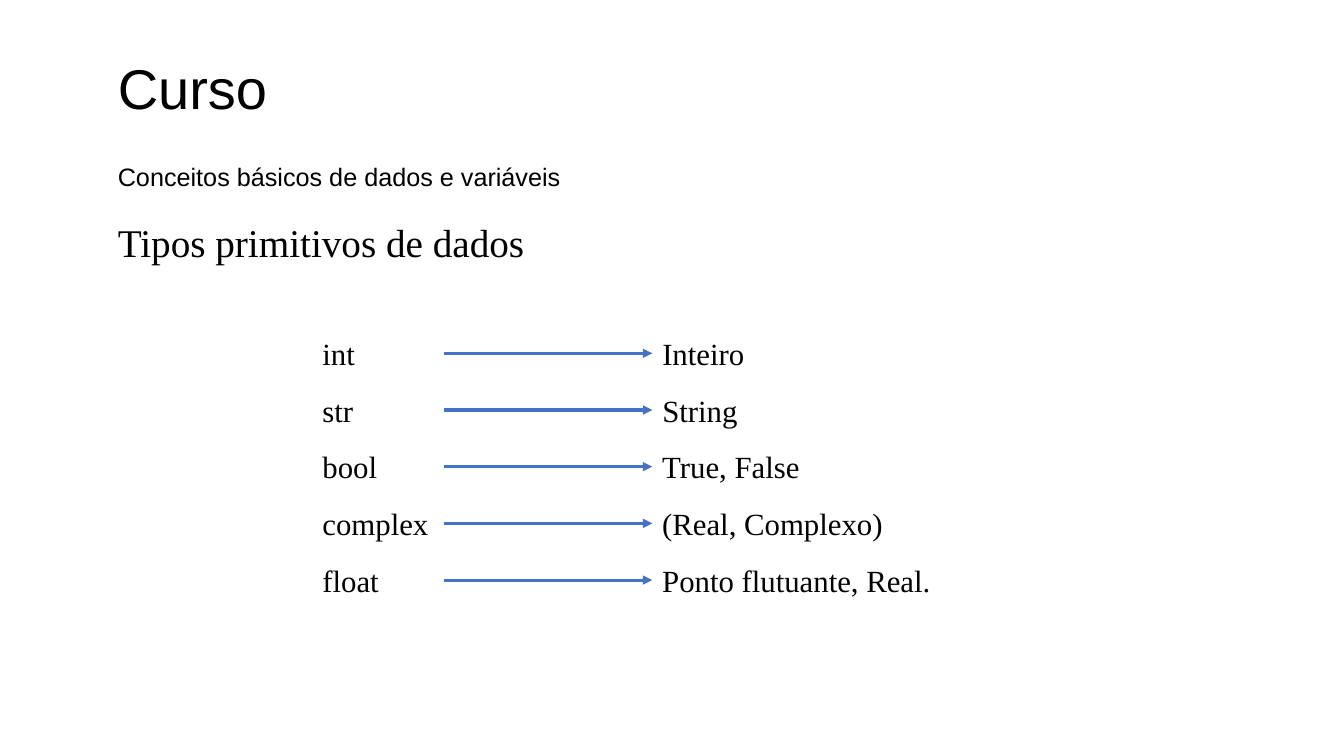
from lxml.etree import SubElement
from pptx import Presentation
from pptx.dml.color import RGBColor
from pptx.enum.shapes import MSO_CONNECTOR
from pptx.enum.text import MSO_ANCHOR
from pptx.oxml.ns import qn
from pptx.util import Inches, Pt

SANS, SERIF = "Arial", "Times New Roman"
TEXT_COLOR, ARROW_COLOR = "000000", "4472C4"
LEFT_SIDE, RIGHT_SIDE = 1, 3

# Python type, its meaning, width of the meaning's box
DATA_TYPES = [
    ("int", "Inteiro", 1.29),
    ("str", "String", 1.29),
    ("bool", "True, False", 1.74),
    ("complex", "(Real, Complexo)", 2.47),
    ("float", "Ponto flutuante, Real.", 2.9),
]


def color(hex_string):
    return RGBColor.from_string(hex_string)


def add_text(page, text, box, size, font, anchor=MSO_ANCHOR.TOP, spacing=1.0):
    text_box = page.shapes.add_textbox(*(Inches(length) for length in box))
    frame = text_box.text_frame
    frame.word_wrap = True
    frame.vertical_anchor = anchor
    para = frame.paragraphs[0]
    para.text = text
    para.line_spacing = spacing
    para.font.size = Pt(size)
    para.font.name = font
    para.font.color.rgb = color(TEXT_COLOR)
    return text_box


def add_arrow(page, source, target):
    arrow = page.shapes.add_connector(MSO_CONNECTOR.STRAIGHT, 0, 0, 0, 0)
    arrow.begin_connect(source, RIGHT_SIDE)
    arrow.end_connect(target, LEFT_SIDE)
    arrow.line.color.rgb = color(ARROW_COLOR)
    arrow.line.width = Pt(2.25)
    SubElement(arrow.line._get_or_add_ln(), qn("a:tailEnd"), type="triangle")
    SubElement(arrow._element.spPr, qn("a:effectLst"))


def add_heading(page, left, top):
    add_text(page, "Curso", (left, top, 6.41, 0.6), 40, SANS, MSO_ANCHOR.MIDDLE, 0.9)
    add_text(page, "Conceitos básicos de dados e variáveis",
             (left, top + 0.98, 6.41, 0.36), 18, SANS, spacing=0.9)
    add_text(page, "Tipos primitivos de dados", (left, top + 1.51, 4.46, 0.57), 28, SERIF)


def add_type_rows(page, left, top, height):
    row_height, name_width, arrow_length = 0.47, 1.3, 2.07
    pitch = (height - row_height) / (len(DATA_TYPES) - 1)
    meaning_left = left + name_width + arrow_length
    for row, (name, meaning, meaning_width) in enumerate(DATA_TYPES):
        row_top = top + row * pitch
        name_box = add_text(page, name, (left, row_top, name_width, row_height), 22, SERIF)
        meaning_box = add_text(page, meaning,
                               (meaning_left, row_top, meaning_width, row_height), 22, SERIF)
        add_arrow(page, name_box, meaning_box)


def main():
    deck = Presentation()
    deck.slide_width, deck.slide_height = Inches(13.33), Inches(7.5)
    page = deck.slides.add_slide(deck.slide_layouts[6])
    add_heading(page, 1.07, 0.61)
    add_type_rows(page, 3.1, 3.27, 2.72)
    deck.save("out.pptx")


if __name__ == "__main__":
    main()
